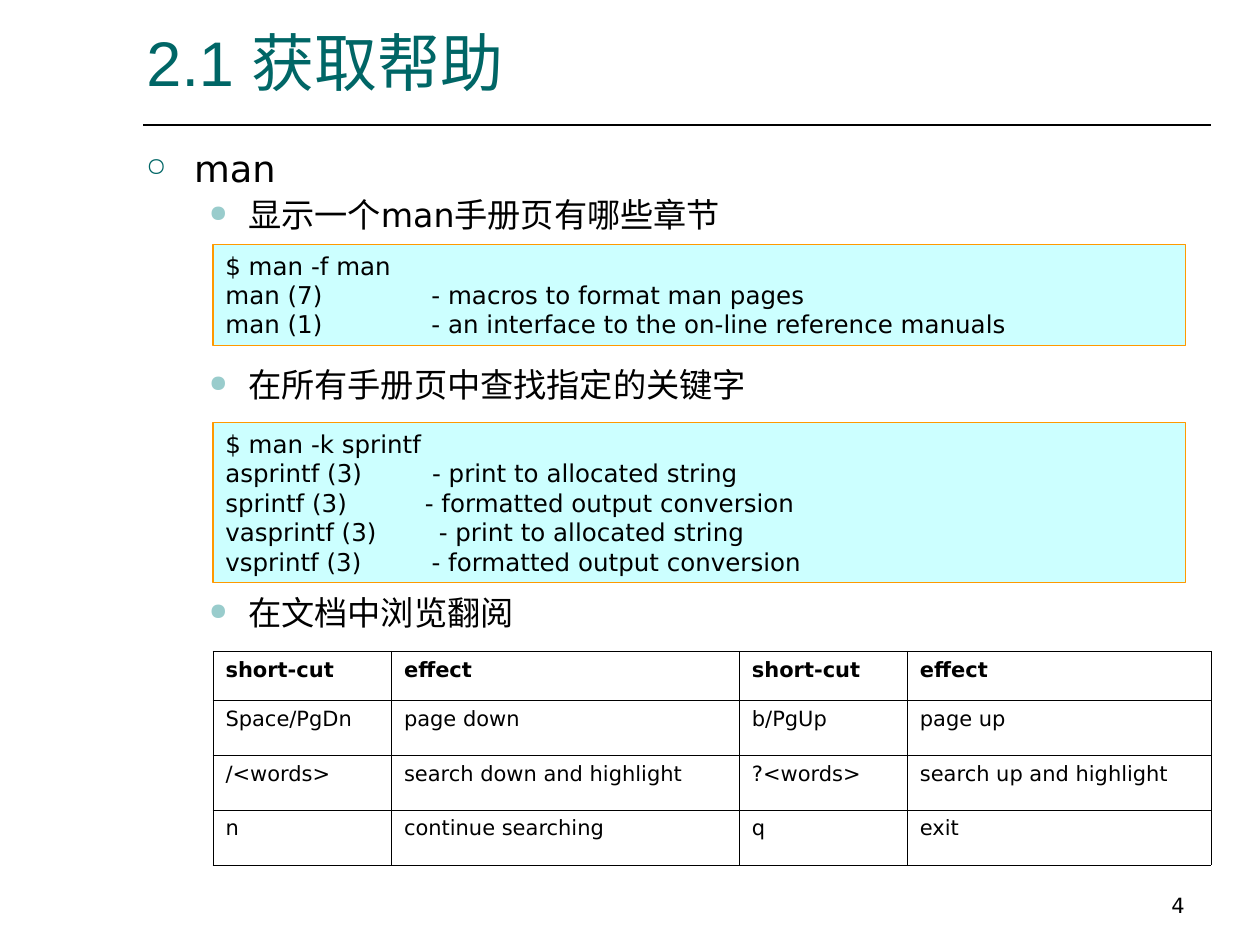
import pptx
import pptx.util
import pptx.dml.color
import pptx.enum.shapes
import pptx.enum.text
import pptx.oxml
import pptx.oxml.ns
import lxml.etree

Pt = pptx.util.Pt
RGBColor = pptx.dml.color.RGBColor
qn = pptx.oxml.ns.qn

BLACK = RGBColor(0x00, 0x00, 0x00)
TEAL = RGBColor(0x00, 0x66, 0x66)
PALE_TEAL = RGBColor(0x99, 0xCC, 0xCC)
PALE_CYAN = RGBColor(0xCC, 0xFF, 0xFF)
ORANGE = RGBColor(0xFF, 0x99, 0x00)
BODY_FONT = "DejaVu Sans"


def write_text(paragraph, text, size, color=BLACK, font=BODY_FONT, bold=False):
    paragraph.text = text
    for run in paragraph.runs:
        run.font.size = Pt(size)
        run.font.name = font
        run.font.bold = bold
        run.font.color.rgb = color


def add_bullet(paragraph, mark, color, margin, hanging):
    properties = paragraph._p.get_or_add_pPr()
    properties.set("marL", str(Pt(margin)))
    properties.set("indent", str(-Pt(hanging)))
    bullet_color = lxml.etree.SubElement(properties, qn("a:buClr"))
    lxml.etree.SubElement(bullet_color, qn("a:srgbClr"), val=str(color))
    lxml.etree.SubElement(properties, qn("a:buSzPct"), val="70000")
    lxml.etree.SubElement(properties, qn("a:buChar"), char=mark)
    paragraph.line_spacing = 0.9


presentation = pptx.Presentation()
presentation.slide_width = Pt(720)
presentation.slide_height = Pt(540)
slide = presentation.slides.add_slide(presentation.slide_layouts[5])

title = slide.shapes.title
title.left, title.top, title.width, title.height = Pt(76.5), Pt(15), Pt(610), Pt(45.5)
title.text_frame.vertical_anchor = pptx.enum.text.MSO_ANCHOR.BOTTOM
title.text_frame.auto_size = pptx.enum.text.MSO_AUTO_SIZE.NONE
write_text(title.text_frame.paragraphs[0], "2.1 获取帮助", 36, TEAL, "Arial")
title.text_frame.paragraphs[0].alignment = pptx.enum.text.PP_ALIGN.LEFT

title_rule = slide.shapes.add_connector(
    pptx.enum.shapes.MSO_CONNECTOR.STRAIGHT, Pt(82), Pt(71.5), Pt(692), Pt(71.5))
title_rule.line.color.rgb = BLACK
title_rule.line.width = Pt(1)
lxml.etree.SubElement(title_rule._element.spPr, qn("a:effectLst"))

topics = [
    (82.8, 62.6, [("man", 0), ("显示一个man手册页有哪些章节", 1)]),
    (207.4, 28, [("在所有手册页中查找指定的关键字", 1)]),
    (337.7, 28, [("在文档中浏览翻阅", 1)]),
]
topic_levels = [("○", TEAL, 27.4, 27.4, 21), ("●", PALE_TEAL, 58.3, 22.3, 19)]
for top, height, lines in topics:
    topic = slide.shapes.add_textbox(Pt(76.5), Pt(top), Pt(612), Pt(height)).text_frame
    topic.word_wrap = True
    for index, (text, level) in enumerate(lines):
        paragraph = topic.add_paragraph() if index else topic.paragraphs[0]
        mark, color, margin, hanging, size = topic_levels[level]
        paragraph.level = level
        add_bullet(paragraph, mark, color, margin, hanging)
        paragraph.space_before = Pt(4.8 if index else 0)
        write_text(paragraph, text, size)

commands = [
    (139.7, 57.6, [
        "$ man -f man",
        "man (7)              - macros to format man pages",
        "man (1)              - an interface to the on-line reference manuals",
    ]),
    (241.6, 91.4, [
        "$ man -k sprintf",
        "asprintf (3)         - print to allocated string",
        "sprintf (3)          - formatted output conversion",
        "vasprintf (3)        - print to allocated string",
        "vsprintf (3)         - formatted output conversion",
    ]),
]
for top, height, lines in commands:
    command = slide.shapes.add_shape(
        pptx.enum.shapes.MSO_SHAPE.RECTANGLE, Pt(121.7), Pt(top), Pt(555.8), Pt(height))
    command.shadow.inherit = False
    command.fill.solid()
    command.fill.fore_color.rgb = PALE_CYAN
    command.line.color.rgb = ORANGE
    command.line.width = Pt(0.75)
    command.text_frame.word_wrap = True
    command.text_frame.vertical_anchor = pptx.enum.text.MSO_ANCHOR.TOP
    for index, line in enumerate(lines):
        paragraph = command.text_frame.add_paragraph() if index else command.text_frame.paragraphs[0]
        paragraph.alignment = pptx.enum.text.PP_ALIGN.LEFT
        write_text(paragraph, line, 14)

shortcuts = [
    ["short-cut", "effect", "short-cut", "effect"],
    ["Space/PgDn", "page down", "b/PgUp", "page up"],
    ["/<words>", "search down and highlight", "?<words>", "search up and highlight"],
    ["n", "continue searching", "q", "exit"],
]
column_widths = [102, 198.8, 96, 173.6]
row_heights = [28, 31.4, 31.4, 31.4]
shortcut_table = slide.shapes.add_table(
    len(shortcuts), len(column_widths), Pt(121.7), Pt(372.2),
    Pt(sum(column_widths)), Pt(sum(row_heights))).table
shortcut_table.first_row = False
shortcut_table.horz_banding = False
for column, width in zip(shortcut_table.columns, column_widths):
    column.width = Pt(width)
for row_index, (row, height) in enumerate(zip(shortcut_table.rows, row_heights)):
    row.height = Pt(height)
    for cell, text in zip(row.cells, shortcuts[row_index]):
        cell.fill.background()
        write_text(cell.text_frame.paragraphs[0], text, 12, bold=row_index == 0)
        properties = cell._tc.get_or_add_tcPr()
        for position, side in enumerate(["a:lnL", "a:lnR", "a:lnT", "a:lnB"]):
            border = lxml.etree.Element(qn(side), w=str(Pt(0.45)))
            border_fill = lxml.etree.SubElement(border, qn("a:solidFill"))
            lxml.etree.SubElement(border_fill, qn("a:srgbClr"), val=str(BLACK))
            properties.insert(position, border)

page_number = slide.shapes.add_textbox(Pt(516), Pt(491.8), Pt(168), Pt(36)).text_frame
page_number.word_wrap = True
page_number.vertical_anchor = pptx.enum.text.MSO_ANCHOR.BOTTOM
write_text(page_number.paragraphs[0], "4", 12)
page_number.paragraphs[0].alignment = pptx.enum.text.PP_ALIGN.RIGHT

presentation.save("out.pptx")
